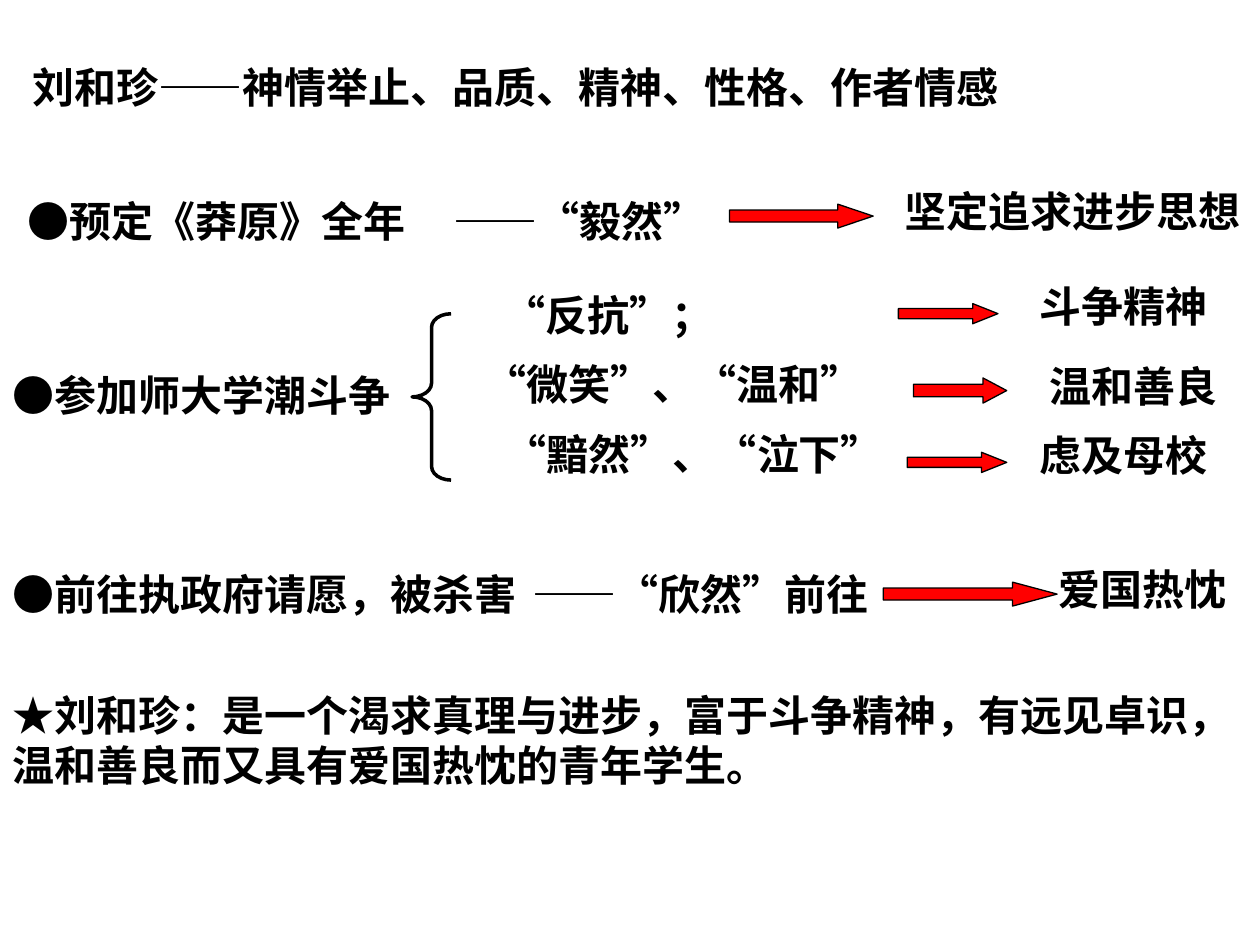
from lxml.etree import SubElement
from pptx import Presentation
from pptx.dml.color import RGBColor
from pptx.enum.shapes import MSO_SHAPE as SHAPE
from pptx.enum.text import MSO_ANCHOR as ANCHOR, MSO_AUTO_SIZE as AUTO_SIZE, PP_ALIGN as ALIGN
from pptx.oxml.ns import qn
from pptx.util import Inches, Pt

COLORS = {"ink": "000000", "arrow": "FF0000", "paper": "FFFFFF"}
SERIF, SANS, CJK = "Times New Roman", "Arial", "Noto Sans CJK SC"
LINE_HEIGHT = 0.5


def color(name):
    """Return a palette colour."""
    return RGBColor.from_string(COLORS[name])


def write(holder, text, font=SERIF, size=24, bold=True, wrap=True):
    """Write left-aligned text into a box or placeholder."""
    frame = holder.text_frame
    frame.auto_size = AUTO_SIZE.SHAPE_TO_FIT_TEXT
    frame.word_wrap = wrap
    frame.vertical_anchor = ANCHOR.TOP
    paragraph = frame.paragraphs[0]
    paragraph.alignment = ALIGN.LEFT
    paragraph.space_before = Pt(0)
    run = paragraph.add_run()
    run.text = text
    run.font.name, run.font.size, run.font.bold = font, Pt(size), bold
    run.font.color.rgb = color("ink")
    SubElement(run.font._element, qn("a:ea"), typeface=CJK)


def add_text(slide, text, left, top, width, height=LINE_HEIGHT, **style):
    """Add a text box at a place in inches."""
    box = slide.shapes.add_textbox(Inches(left), Inches(top), Inches(width), Inches(height))
    write(box, text, **style)


def add_arrow(slide, left, top, width, height, head):
    """Add a red block arrow with a given head ratio."""
    arrow = slide.shapes.add_shape(
        SHAPE.RIGHT_ARROW, Inches(left), Inches(top), Inches(width), Inches(height))
    arrow.adjustments[0], arrow.adjustments[1] = 0.5, head
    arrow.shadow.inherit = False
    arrow.fill.solid()
    arrow.fill.fore_color.rgb = color("arrow")
    arrow.line.color.rgb = color("ink")
    arrow.line.width = Pt(0.75)


def add_brace(slide, left, top, width, height):
    """Add the brace that groups the three attitudes."""
    brace = slide.shapes.add_shape(
        SHAPE.LEFT_BRACE, Inches(left), Inches(top), Inches(width), Inches(height))
    brace.adjustments[0], brace.adjustments[1] = 0.35, 0.5
    brace.shadow.inherit = False
    brace.fill.background()
    brace.line.color.rgb = color("ink")
    brace.line.width = Pt(2)


def place_title(slide, left, top, width):
    """Place the heading in the title placeholder."""
    title = slide.shapes.title
    title.left, title.top = Inches(left), Inches(top)
    title.width, title.height = Inches(width), Inches(LINE_HEIGHT)
    write(title, "刘和珍——神情举止、品质、精神、性格、作者情感", font=CJK)


def add_deed(slide, left, top, deed, manner, trait, arrow):
    """Add a row from deed through manner to trait."""
    for text, x, y, width in (deed, manner, trait):
        add_text(slide, text, left + x, top + y, width)
    x, y, width, height, head = arrow
    add_arrow(slide, left + x, top + y, width, height, head)


def add_struggle(slide, left, top):
    """Add the struggle with its three attitudes and traits."""
    add_text(slide, "●参加师大学潮斗争", left, top + 0.7, 3.5)
    add_brace(slide, left + 3.27, top + 0.31, 0.31, 1.32)
    attitudes = (
        ("“反抗”；", 3.9, 0.07, 1.86), ("“微笑”、“温和”", 3.75, 0.62, 3.2),
        ("“黯然”、“泣下”", 3.91, 1.17, 3.2))
    traits = (
        ("斗争精神", 8.15, 0, 1.53, SANS), ("温和善良", 8.23, 0.63, 1.53, SANS),
        ("虑及母校", 8.15, 1.18, 1.58, SERIF))
    arrows = (
        (7.13, 0.23, 0.79, 0.16, 1.25), (7.25, 0.82, 0.74, 0.2, 0.94),
        (7.2, 1.41, 0.79, 0.16, 1.25))
    for text, x, y, width in attitudes:
        add_text(slide, text, left + x, top + y, width, font=SANS, wrap=False)
    for text, x, y, width, font in traits:
        add_text(slide, text, left + x, top + y, width, font=font, wrap=False)
    for x, y, width, height, head in arrows:
        add_arrow(slide, left + x, top + y, width, height, head)


def add_summary(slide, left, top, width, height):
    """Add the closing portrait."""
    add_text(
        slide, "★刘和珍：是一个渴求真理与进步，富于斗争精神，有远见卓识，"
        "温和善良而又具有爱国热忱的青年学生。", left, top, width, height)


def main():
    """Build and save the slide."""
    deck = Presentation()
    deck.slide_width, deck.slide_height = Inches(10), Inches(7.5)
    slide = deck.slides.add_slide(deck.slide_layouts[5])
    slide.background.fill.solid()
    slide.background.fill.fore_color.rgb = color("paper")
    place_title(slide, 0.16, 0.44, 9.84)
    add_deed(
        slide, 0, 1.5, ("●预定《莽原》全年", 0.12, 0, 3.5), ("——“毅然”", 3.5, 0, 2.25),
        ("坚定追求进步思想", 7.08, -0.08, 2.92), (5.79, 0.12, 1.14, 0.19, 1.48))
    add_struggle(slide, 0, 2.18)
    add_deed(
        slide, 0, 4.46, ("●前往执政府请愿，被杀害", 0, 0, 5.39), ("——“欣然”前往", 4.13, 0, 3.07),
        ("爱国热忱", 8.3, -0.04, 1.67), (7.01, 0.16, 1.38, 0.19, 1.86))
    add_summary(slide, 0, 5.42, 9.67, 0.9)
    deck.save("out.pptx")


if __name__ == "__main__":
    main()
